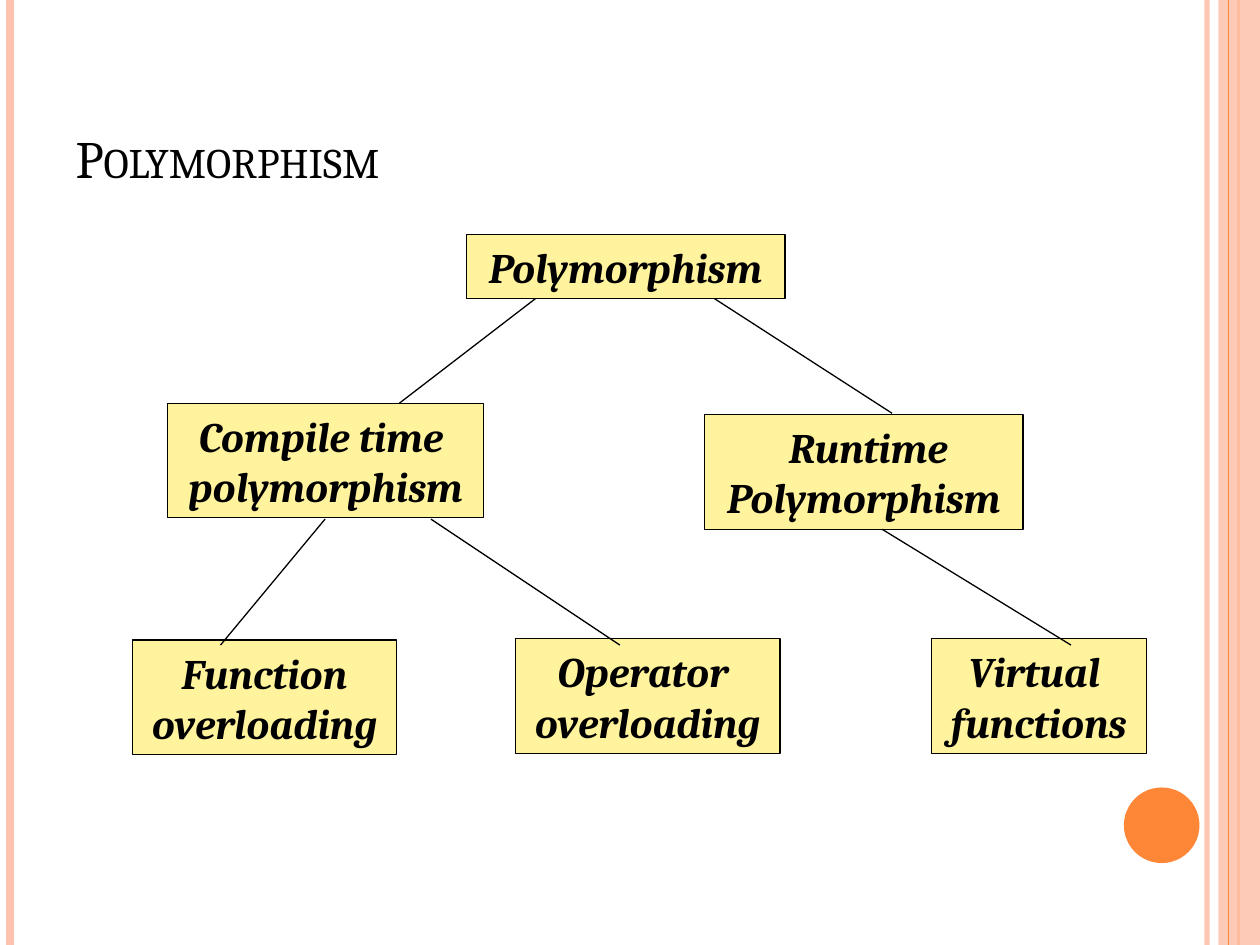
from lxml.etree import SubElement
from pptx import Presentation
from pptx.dml.color import RGBColor
from pptx.enum.shapes import MSO_CONNECTOR as CONNECTOR, MSO_SHAPE as SHAPE
from pptx.enum.text import MSO_ANCHOR as ANCHOR, MSO_AUTO_SIZE as AUTO_SIZE, PP_ALIGN as ALIGN
from pptx.oxml.ns import qn
from pptx.util import Inches, Pt

BLACK = RGBColor(0x00, 0x00, 0x00)
PEACH = RGBColor(0xFE, 0xC3, 0xAE)
ORANGE = RGBColor(0xFE, 0x86, 0x37)
YELLOW = RGBColor(0xFF, 0xF3, 0x9D)
FONT = "Cambria"
WIDTH, HEIGHT = 10, 7.5


def set_alpha(element, percent):
    color = next(element.iter(qn("a:srgbClr")))
    SubElement(color, qn("a:alpha")).set("val", str(percent * 1000))


def style_font(font, size):
    font.name, font.size = FONT, Pt(size)
    font.color.rgb = BLACK


def add_line(slide, start, end, color=BLACK, weight=0.75):
    points = [Inches(value) for value in (*start, *end)]
    line = slide.shapes.add_connector(CONNECTOR.STRAIGHT, *points)
    line.line.color.rgb = color
    line.line.width = Pt(weight)
    SubElement(line._element.spPr, qn("a:effectLst"))
    return line


def add_filled(slide, kind, box, color):
    shape = slide.shapes.add_shape(kind, *[Inches(value) for value in box])
    shape.shadow.inherit = False
    shape.fill.solid()
    shape.fill.fore_color.rgb = color
    shape.line.fill.background()
    return shape


def add_frame(slide, width, height):
    """Stripes along both edges and the dot at the lower right."""
    def stripe(x, color, weight):
        return add_line(slide, (x, 0), (x, height), color, weight)

    inner = stripe(width - 0.42, PEACH, 3)
    set_alpha(inner._element.spPr, 93)
    stripe(0.08, PEACH, 4.5)
    stripe(width - 0.17, ORANGE, 1.5)
    band = add_filled(slide, SHAPE.RECTANGLE, (width - 0.33, 0, 0.33, height), PEACH)
    set_alpha(band._element.spPr, 87)
    stripe(width - 0.25, ORANGE, 0.75)
    add_filled(slide, SHAPE.OVAL, (width - 1.08, height - 1.25, 0.6, 0.6), ORANGE)


def add_title(slide, text, box):
    title = slide.shapes.title
    title.left, title.top, title.width, title.height = [Inches(v) for v in box]
    frame = title.text_frame
    frame.text = text
    frame.vertical_anchor = ANCHOR.BOTTOM
    paragraph = frame.paragraphs[0]
    paragraph.alignment = ALIGN.LEFT
    run = paragraph.runs[0]
    style_font(run.font, 30)
    run.font._element.set("cap", "small")


def add_node(slide, text, box):
    node = add_filled(slide, SHAPE.RECTANGLE, box, YELLOW)
    node.line.color.rgb = BLACK
    node.line.width = Pt(0.75)
    frame = node.text_frame
    frame.text = text
    frame.word_wrap = False
    frame.auto_size = AUTO_SIZE.SHAPE_TO_FIT_TEXT
    frame.vertical_anchor = ANCHOR.MIDDLE
    for paragraph in frame.paragraphs:
        paragraph.alignment = ALIGN.CENTER
        for run in paragraph.runs:
            style_font(run.font, 24)
            run.font.bold = run.font.italic = True


def add_tree(slide, left, top):
    """Class tree; places are relative to its upper left corner."""
    nodes = [
        ("Polymorphism", 2.65, 0, 2.53, 0.51),
        ("Compile time \npolymorphism", 0.28, 1.34, 2.51, 0.91),
        (" Runtime\nPolymorphism", 4.54, 1.43, 2.53, 0.91),
        ("Function\noverloading", 0, 3.22, 2.1, 0.91),
        ("Operator \noverloading", 3.04, 3.21, 2.1, 0.91),
        ("Virtual \nfunctions", 6.34, 3.21, 1.71, 0.91),
    ]
    branches = [
        (3.2, 0.51, 2.12, 1.34),
        (1.53, 2.26, 0.7, 3.26),
        (2.37, 2.26, 3.87, 3.26),
        (4.62, 0.51, 6.03, 1.42),
        (5.95, 2.34, 7.45, 3.26),
    ]
    for text, x, y, width, height in nodes:
        add_node(slide, text, (left + x, top + y, width, height))
    for x1, y1, x2, y2 in branches:
        add_line(slide, (left + x1, top + y1), (left + x2, top + y2))


deck = Presentation()
deck.slide_width, deck.slide_height = Inches(WIDTH), Inches(HEIGHT)
slide = deck.slides.add_slide(deck.slide_layouts[5])
add_frame(slide, WIDTH, HEIGHT)
add_title(slide, "Polymorphism ", (0.5, 0.3, 8.17, 1.25))
add_tree(slide, 1.05, 1.86)
deck.save("out.pptx")
